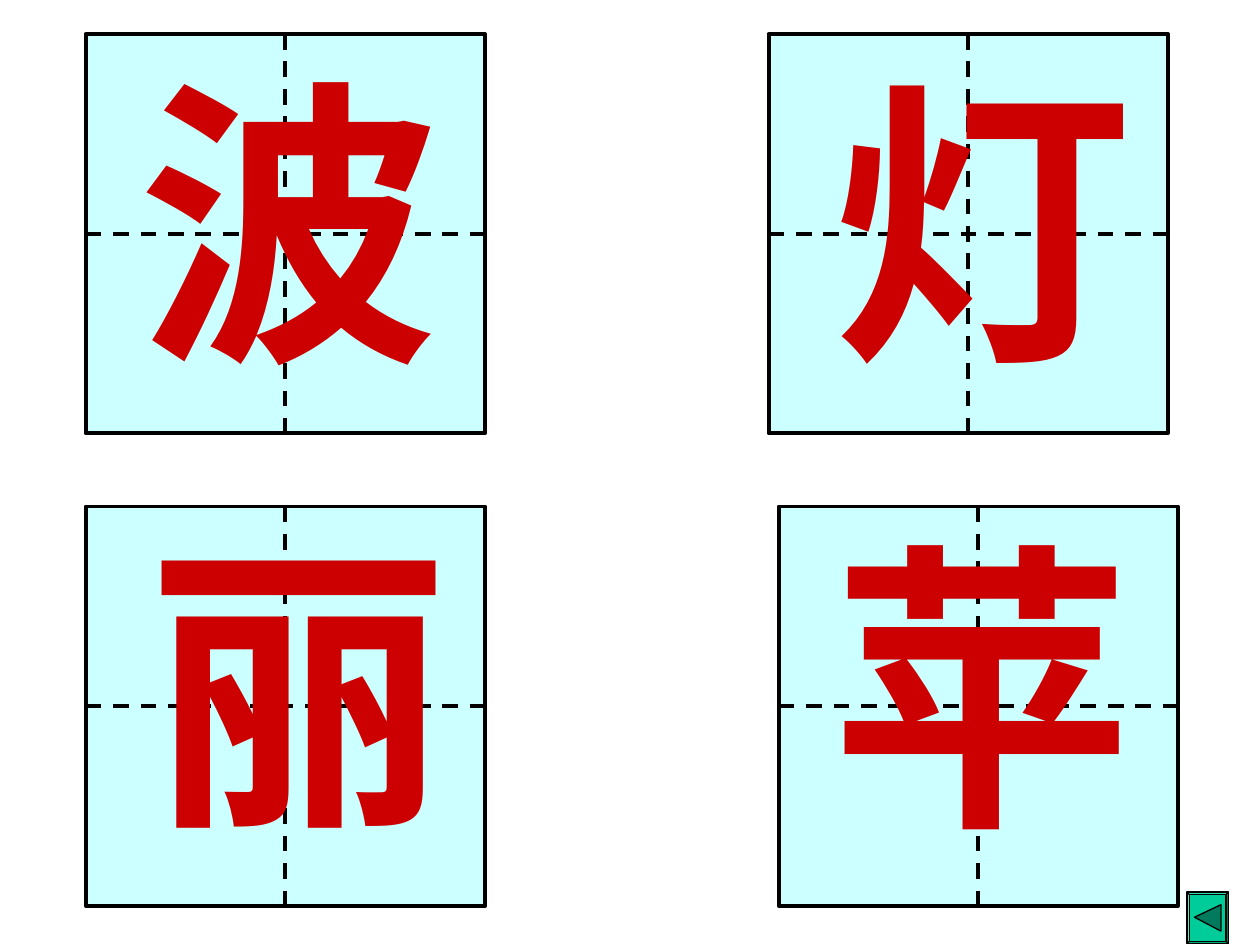
import pptx
import pptx.util
import pptx.dml.color
import pptx.enum.dml
import pptx.enum.shapes
import pptx.oxml.ns
import lxml.etree

COLORS = {"paper": "CCFFFF", "ink": "000000", "character": "CC0000",
          "button": "00CC99", "arrow": "007A5C"}

deck = pptx.Presentation()
deck.slide_width = pptx.util.Inches(10)
deck.slide_height = pptx.util.Inches(7.5)
page = deck.slides.add_slide(deck.slide_layouts[6])

# The slide is a grid of 10 columns by 7.5 rows
UNIT = deck.slide_width // 10
SIDE = 3.17
ROW_TOPS = (0.27, 4.02)


def paint(shape, fill, line_width):
    shape.shadow.inherit = False
    shape.fill.solid()
    shape.fill.fore_color.rgb = pptx.dml.color.RGBColor.from_string(COLORS[fill])
    shape.line.color.rgb = pptx.dml.color.RGBColor.from_string(COLORS["ink"])
    shape.line.width = pptx.util.Pt(line_width)


def add_text(text, left, top, width, height, size=172, color="character",
             font="Times New Roman", bold=True):
    box = page.shapes.add_textbox(*[round(n * UNIT) for n in (left, top, width, height)])
    box.text_frame.word_wrap = True
    para = box.text_frame.paragraphs[0]
    span = para.add_run()
    span.text = text
    span.font.name = font
    span.font.size = pptx.util.Pt(size)
    span.font.bold = bold
    span.font.color.rgb = pptx.dml.color.RGBColor.from_string(COLORS[color])


# Practice squares with dashed guides joined to the middles of the sides
for left, top in ((0.68, ROW_TOPS[0]), (6.1, ROW_TOPS[0]),
                  (0.68, ROW_TOPS[1]), (6.18, ROW_TOPS[1])):
    group = page.shapes.add_group_shape()
    square = group.shapes.add_shape(
        pptx.enum.shapes.MSO_SHAPE.RECTANGLE,
        *[round(n * UNIT) for n in (left, top, SIDE, SIDE)])
    paint(square, "paper", 2.25)
    for start, end in ((1, 3), (0, 2)):
        guide = group.shapes.add_connector(
            pptx.enum.shapes.MSO_CONNECTOR.STRAIGHT, 0, 0, 0, 0)
        guide.begin_connect(square, start)
        guide.end_connect(square, end)
        guide.line.color.rgb = pptx.dml.color.RGBColor.from_string(COLORS["ink"])
        guide.line.width = pptx.util.Pt(2.25)
        guide.line.dash_style = pptx.enum.dml.MSO_LINE.DASH
        lxml.etree.SubElement(guide._element.spPr, pptx.oxml.ns.qn("a:effectLst"))

# Characters
for character, left, top, width in (("波", 1, 0.25, 2.42), ("灯", 6.5, 0.25, 2.5),
                                    ("丽", 1.08, 3.92, 2.5), ("苹", 6.5, 3.92, 2.33)):
    add_text(character, left, top, width, 2.97)

# Back button: bevelled face with a left-pointing arrow
button = page.shapes.add_shape(
    pptx.enum.shapes.MSO_SHAPE.BEVEL,
    *[round(n * UNIT) for n in (9.42, 7.08, 0.33, 0.41)])
button.adjustments[0] = 0.06
paint(button, "button", 0.75)

tip, upper, lower = [(round(x * UNIT), round(y * UNIT))
                     for x, y in ((9.48, 7.28), (9.69, 7.18), (9.69, 7.39))]
outline = page.shapes.build_freeform(*tip)
outline.add_line_segments([upper, lower], close=True)
paint(outline.convert_to_shape(), "arrow", 0.75)

deck.save("out.pptx")
